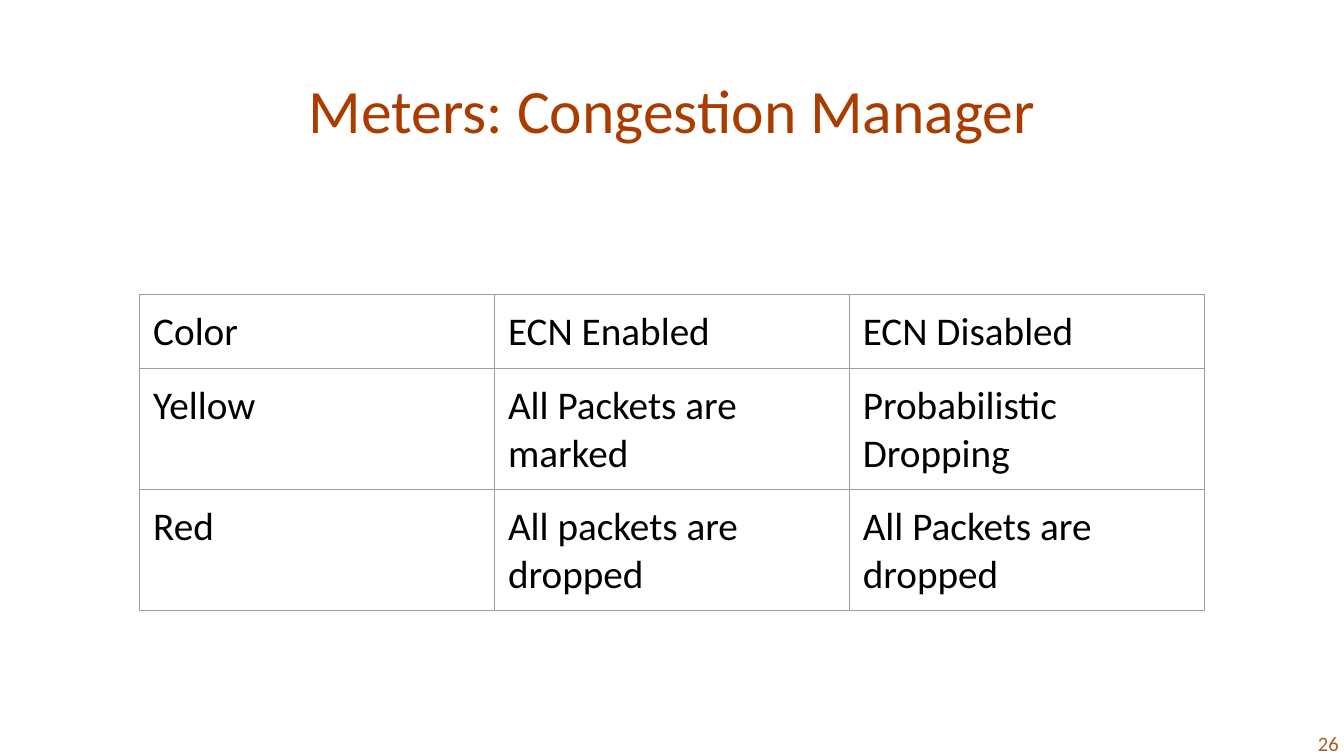
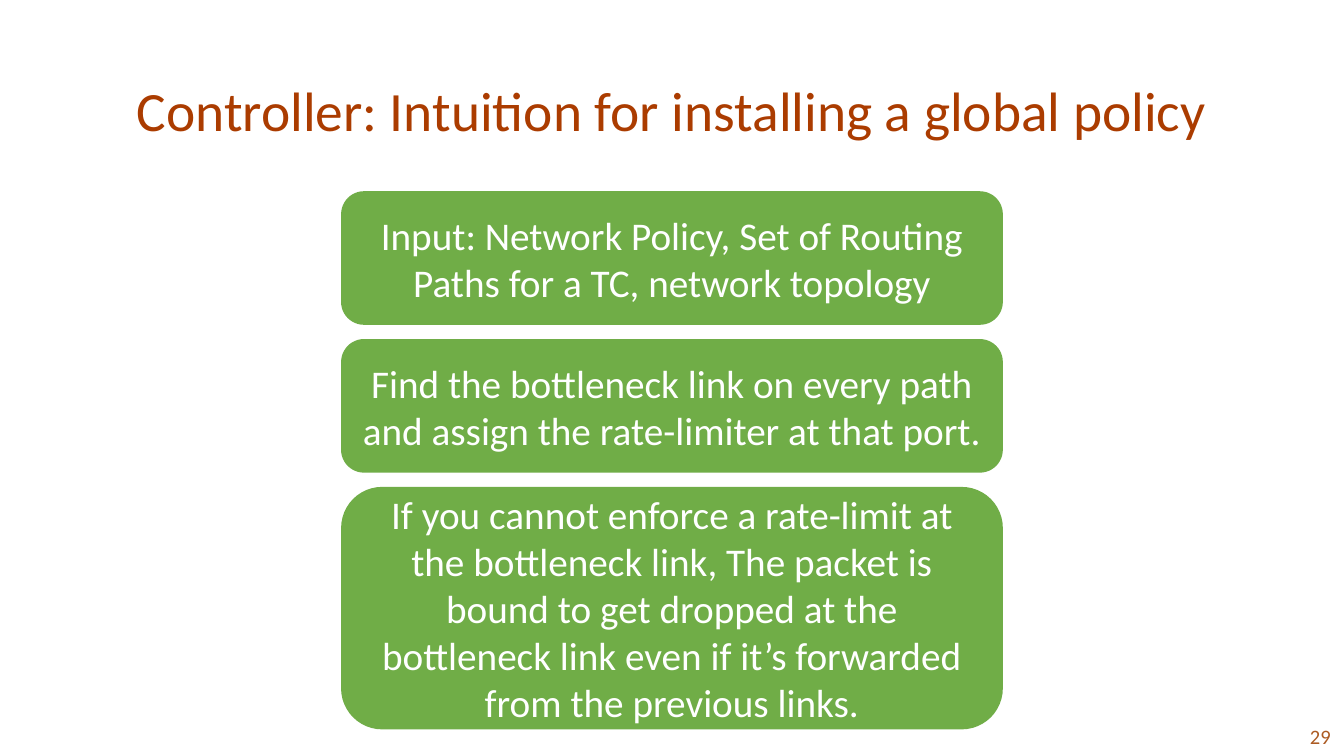
"""Build two slides on congestion meters and on installing a global policy."""
import lxml.etree
import pptx
import pptx.dml.color
import pptx.enum.shapes
import pptx.enum.text
import pptx.oxml.ns
import pptx.util

METERS = {
    "title": "Meters: Congestion Manager",
    "title_size": 33,
    "number": "26",
    "number_at": (1562, 1076),
    "actions": [
        ("Color", "ECN Enabled", "ECN Disabled"),
        ("Yellow", "All Packets are marked", "Probabilistic Dropping"),
        ("Red", "All packets are dropped", "All Packets are dropped"),
    ],
}
CONTROLLER = {
    "title": "Controller: Intuition for installing a global policy",
    "title_size": 29.7,
    "number": "29",
    "number_at": (1550, 1066),
    "steps": [
        ("Input: Network Policy, Set of Routing Paths for a TC, network topology", 196),
        ("Find the bottleneck link on every path and assign the rate-limiter at that port.", 196),
        ("If you cannot enforce a rate-limit at the bottleneck link, The packet is bound "
         "to get dropped at the bottleneck link even if it’s forwarded from the previous links.", 358),
    ],
}

FONT = "Calibri"
RUST, BROWN, GREEN = "AB3C00", "AC5B23", "70AD47"
GREY, BLACK, WHITE = "9E9E9E", "000000", "FFFFFF"
BODY_SIZE = 21
PX_PER_INCH = 200
SLIDE_WIDTH, SLIDE_HEIGHT = 2000, 1125
TITLE_BOX = (138, 60, 1724, 218)
NUMBER_WIDTH, NUMBER_HEIGHT = 450, 60
TABLE_LEFT, TABLE_TOP, TABLE_SIDE = 208, 438, 656
COLUMN_WIDTH, ROW_HEIGHT, CELL_INSET = 528, 84, 20
STEP_LEFT, STEP_TOP, STEP_WIDTH, STEP_GAP = 509, 286, 982, 24

ALIGN = pptx.enum.text.PP_ALIGN
MIDDLE = pptx.enum.text.MSO_ANCHOR.MIDDLE


def px(length):
    return pptx.util.Emu(length * 914400 // PX_PER_INCH)


def color(value):
    return pptx.dml.color.RGBColor.from_string(value)


def write(frame, text, size, ink, align):
    frame.text = text
    frame.word_wrap = True
    paragraph = frame.paragraphs[0]
    paragraph.alignment = align
    font = paragraph.runs[0].font
    font.name = FONT
    font.size = pptx.util.Pt(size)
    font.color.rgb = color(ink)
    return paragraph


def add_text(slide, box, text, size, ink, align):
    frame = slide.shapes.add_textbox(*map(px, box)).text_frame
    frame.vertical_anchor = MIDDLE
    return write(frame, text, size, ink, align)


def add_slide(deck, content):
    slide = deck.slides.add_slide(deck.slide_layouts[6])
    title = add_text(slide, TITLE_BOX, content["title"], content["title_size"], RUST, ALIGN.CENTER)
    title.line_spacing = 0.9
    add_text(slide, (*content["number_at"], NUMBER_WIDTH, NUMBER_HEIGHT),
             content["number"], 11, BROWN, ALIGN.RIGHT)
    return slide


def outline(cell):
    qn = pptx.oxml.ns.qn
    properties = cell._tc.get_or_add_tcPr()
    for side in ("lnL", "lnR", "lnT", "lnB"):
        line = lxml.etree.SubElement(properties, qn(f"a:{side}"), w=str(pptx.util.Pt(0.75)))
        fill = lxml.etree.SubElement(line, qn("a:solidFill"))
        lxml.etree.SubElement(fill, qn("a:srgbClr"), val=GREY)


def add_actions(slide, actions):
    frame = slide.shapes.add_table(len(actions), len(actions[0]), px(TABLE_LEFT), px(TABLE_TOP),
                                   px(TABLE_SIDE), px(TABLE_SIDE))
    table = frame.table
    table.first_row = table.horz_banding = False
    for column in table.columns:
        column.width = px(COLUMN_WIDTH)
    for row, entries in zip(table.rows, actions):
        row.height = px(ROW_HEIGHT)
        for cell, entry in zip(row.cells, entries):
            cell.margin_left = cell.margin_right = px(CELL_INSET)
            cell.margin_top = cell.margin_bottom = px(CELL_INSET)
            outline(cell)
            cell.fill.background()
            write(cell.text_frame, entry, BODY_SIZE, BLACK, ALIGN.LEFT)
    frame.width = frame.height = px(TABLE_SIDE)


def add_steps(slide, steps):
    top = STEP_TOP
    for text, height in steps:
        step = slide.shapes.add_shape(pptx.enum.shapes.MSO_SHAPE.ROUNDED_RECTANGLE,
                                      *map(px, (STEP_LEFT, top, STEP_WIDTH, height)))
        step.shadow.inherit = False
        step.fill.solid()
        step.fill.fore_color.rgb = color(GREEN)
        step.line.color.rgb = color(GREEN)
        step.line.width = pptx.util.Pt(1)
        step.text_frame.vertical_anchor = MIDDLE
        write(step.text_frame, text, BODY_SIZE, WHITE, ALIGN.CENTER)
        top += height + STEP_GAP


def main():
    deck = pptx.Presentation()
    deck.slide_width, deck.slide_height = px(SLIDE_WIDTH), px(SLIDE_HEIGHT)
    add_actions(add_slide(deck, METERS), METERS["actions"])
    add_steps(add_slide(deck, CONTROLLER), CONTROLLER["steps"])
    deck.save("out.pptx")


if __name__ == "__main__":
    main()
